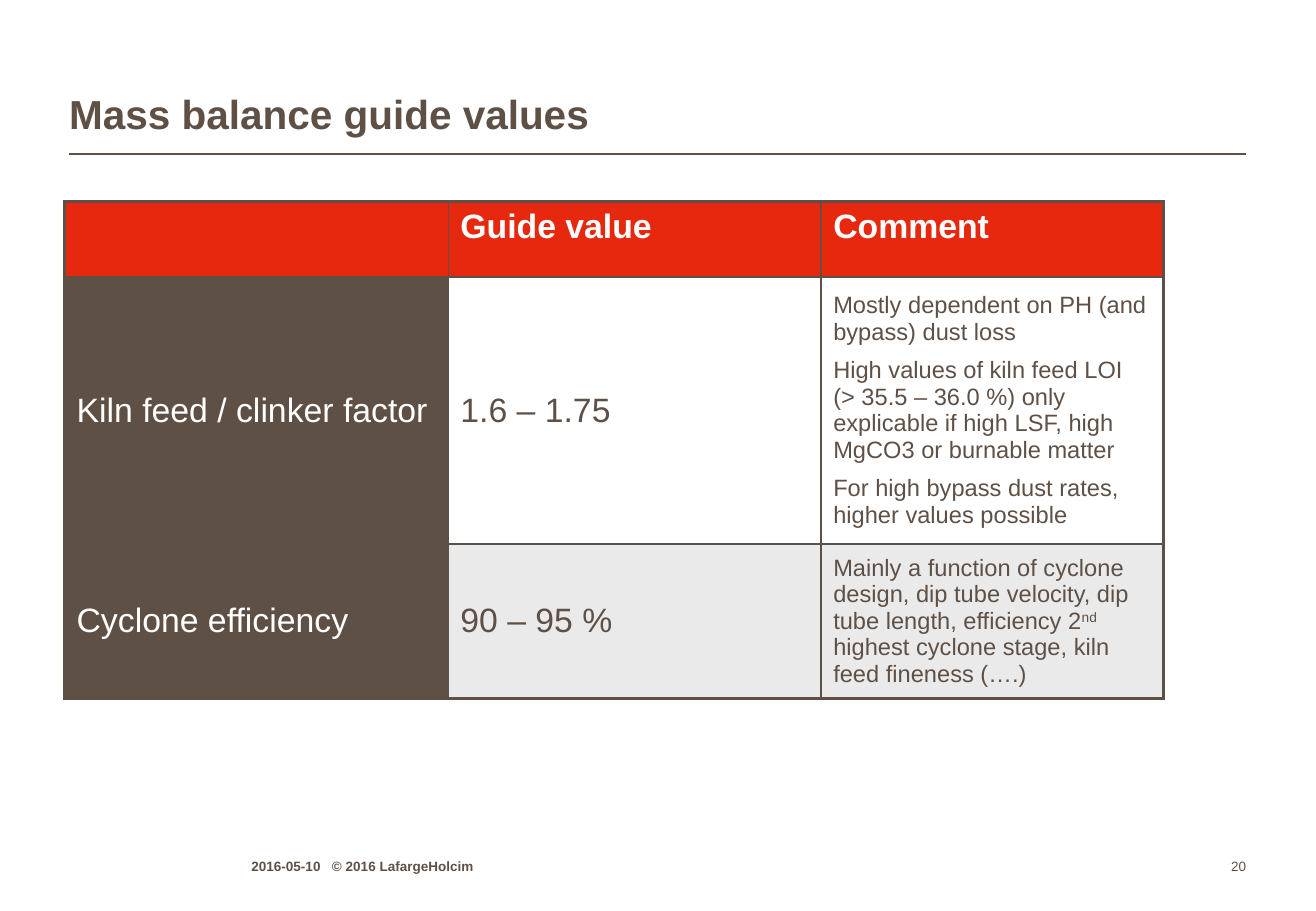
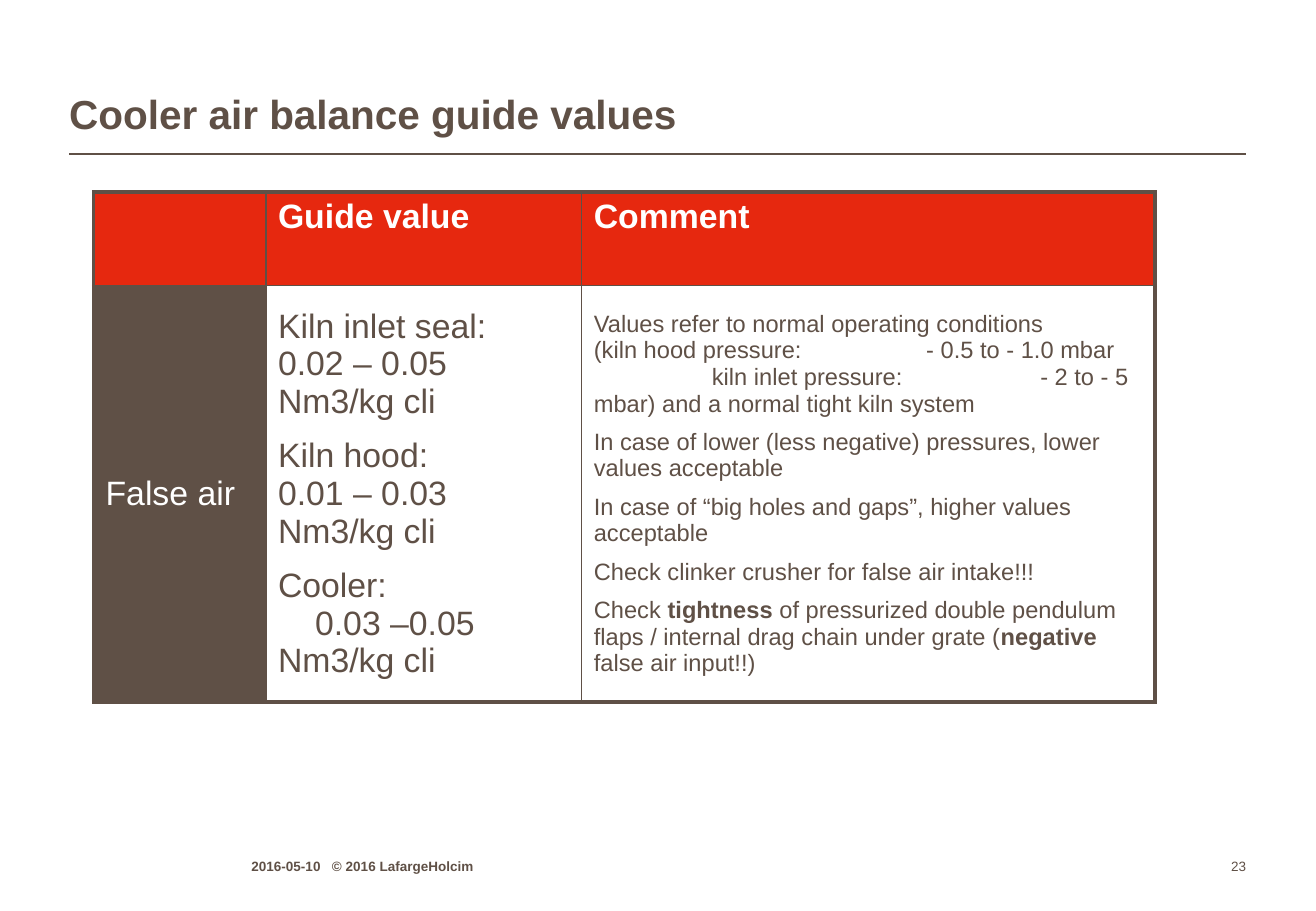
import dataclasses
import typing

import lxml.etree
import pptx
import pptx.dml.color
import pptx.enum.shapes
import pptx.enum.text
import pptx.oxml
import pptx.oxml.ns
import pptx.util

Pt = pptx.util.Pt
qn = pptx.oxml.ns.qn
Align = pptx.enum.text.PP_ALIGN
Anchor = pptx.enum.text.MSO_ANCHOR

FONT = "Arial"
BROWN = "5F5046"
RED = "E6280F"
GREY = "EAEAEA"
WHITE = "FFFFFF"
LEFT, RIGHT = 41, 738.7
OUTER, INNER = 2.25, 1
LARGE, SMALL = 20, 14
PARAGRAPH_GAP = 0.5


@dataclasses.dataclass(frozen=True)
class Span:
    text: str
    bold: bool = False
    raised: bool = False


@dataclasses.dataclass(frozen=True)
class Para:
    spans: tuple[Span, ...]
    tabs: tuple[float, ...] = ()


@dataclasses.dataclass(frozen=True)
class GuideRow:
    label: str
    values: tuple[Para, ...]
    comments: tuple[Para, ...]
    fill: typing.Optional[str] = None


@dataclasses.dataclass(frozen=True)
class GuidePage:
    title: str
    number: int
    left: float
    top: float
    widths: tuple[float, ...]
    heights: tuple[float, ...]
    rows: tuple[GuideRow, ...]


def plain(text: str, *tabs: float) -> Para:
    return Para((Span(text),), tabs)


PAGES = (
    GuidePage(
        "Mass balance guide values", 20, 38.2, 119.5,
        (227.5, 221, 203), (44.6, 158.4, 91.4),
        (
            GuideRow(
                "Kiln feed / clinker factor",
                (plain("1.6 – 1.75"),),
                (
                    plain("Mostly dependent on PH (and bypass) dust loss"),
                    plain("High values of kiln feed LOI\v(> 35.5 – 36.0 %) only explicable "
                          "if high LSF, high MgCO3 or burnable matter"),
                    plain("For high bypass dust rates, higher values possible"),
                ),
            ),
            GuideRow(
                "Cyclone efficiency",
                (plain("90 – 95 %"),),
                (
                    Para((
                        Span("Mainly a function of cyclone design, dip tube velocity, "
                             "dip tube length, efficiency 2"),
                        Span("nd", raised=True),
                        Span(" highest cyclone stage, kiln feed fineness (….)"),
                    )),
                ),
                GREY,
            ),
        ),
    ),
    GuidePage(
        "Cooler air balance guide values", 23, 55.4, 113.8,
        (102.2, 187.2, 339.8), (55.4, 247),
        (
            GuideRow(
                "False air",
                (
                    plain("Kiln inlet seal:\v0.02 – 0.05\vNm3/kg cli"),
                    plain("Kiln hood:\v0.01 – 0.03\vNm3/kg cli"),
                    plain("Cooler:\v\t0.03 –0.05\vNm3/kg cli", 22),
                ),
                (
                    plain("Values refer to normal operating conditions\v"
                          "(kiln hood pressure:\t- 0.5 to - 1.0 mbar\v"
                          "\tkiln inlet pressure:\t\t- 2 to - 5 mbar) "
                          "and a normal tight kiln system", 70, 197, 264.6),
                    plain("In case of lower (less negative) pressures, lower values acceptable"),
                    plain("In case of “big holes and gaps”, higher values acceptable"),
                    plain("Check clinker crusher for false air intake!!!"),
                    Para((
                        Span("Check "),
                        Span("tightness", bold=True),
                        Span(" of pressurized double pendulum flaps / internal drag chain "
                             "under grate ("),
                        Span("negative", bold=True),
                        Span(" false air input!!)"),
                    )),
                ),
            ),
        ),
    ),
)


def rgb(colour: str) -> pptx.dml.color.RGBColor:
    return pptx.dml.color.RGBColor.from_string(colour)


def style_runs(paragraph, size: float, colour: str, bold: bool = False) -> None:
    for run in paragraph.runs:
        run.font.name = FONT
        run.font.size = Pt(size)
        run.font.bold = bold
        run.font.color.rgb = rgb(colour)
    for line_break in paragraph._p.findall(qn("a:br")):
        lxml.etree.SubElement(line_break, qn("a:rPr"), sz=str(int(size * 100)))


def set_tabs(paragraph, tabs: tuple[float, ...]) -> None:
    if tabs:
        tab_list = lxml.etree.SubElement(paragraph._p.get_or_add_pPr(), qn("a:tabLst"))
        for position in tabs:
            lxml.etree.SubElement(tab_list, qn("a:tab"), pos=str(Pt(position)), algn="l")


def add_label(page, left: float, top: float, width: float, height: float,
              text: str, size: float, bold: bool = False,
              align: Align = Align.LEFT, tabs: tuple[float, ...] = ()):
    box = page.shapes.add_textbox(Pt(left), Pt(top), Pt(width), Pt(height))
    frame = box.text_frame
    frame.word_wrap = True
    frame.vertical_anchor = Anchor.BOTTOM
    frame.margin_left = frame.margin_top = frame.margin_right = frame.margin_bottom = 0
    frame.text = text
    paragraph = frame.paragraphs[0]
    paragraph.alignment = align
    set_tabs(paragraph, tabs)
    style_runs(paragraph, size, BROWN, bold)
    return paragraph


def add_frame(page, title: str, number: int) -> None:
    rule = page.shapes.add_connector(
        pptx.enum.shapes.MSO_CONNECTOR.STRAIGHT, Pt(LEFT), Pt(91.4), Pt(RIGHT), Pt(91.4))
    rule.line.color.rgb = rgb(BROWN)
    rule.line.width = Pt(1)
    lxml.etree.SubElement(rule._element.spPr, qn("a:effectLst"))
    heading = add_label(page, LEFT, 15.1, RIGHT - LEFT, 67, title, 24, bold=True)
    heading.line_spacing = 0.95
    add_label(page, 149, 505.4, 249, 13, "2016-05-10\t© 2016 LafargeHolcim", 8,
              bold=True, tabs=(47.8,))
    add_label(page, RIGHT - 33.8, 505.4, 33.8, 13, str(number), 8, align=Align.RIGHT)


def set_borders(cell, widths: dict[str, float]) -> None:
    properties = cell._tc.get_or_add_tcPr()
    for index, (side, width) in enumerate(widths.items()):
        line = lxml.etree.Element(qn(f"a:ln{side}"), w=str(Pt(width)))
        fill = lxml.etree.SubElement(line, qn("a:solidFill"))
        lxml.etree.SubElement(fill, qn("a:srgbClr"), val=BROWN)
        properties.insert(index, line)


def fill_cell(cell, paras: tuple[Para, ...], size: float, colour: str,
              fill: typing.Optional[str], bold: bool = False,
              anchor: Anchor = Anchor.MIDDLE) -> None:
    cell.vertical_anchor = anchor
    if fill:
        cell.fill.solid()
        cell.fill.fore_color.rgb = rgb(fill)
    else:
        cell.fill.background()
    frame = cell.text_frame
    for index, para in enumerate(paras):
        paragraph = frame.add_paragraph() if index else frame.paragraphs[0]
        paragraph.space_before = Pt(PARAGRAPH_GAP * size if index else 0)
        set_tabs(paragraph, para.tabs)
        if len(para.spans) == 1:
            paragraph.text = para.spans[0].text
            style_runs(paragraph, size, colour, bold)
            continue
        for span in para.spans:
            paragraph.add_run().text = span.text
        style_runs(paragraph, size, colour, bold)
        for run, span in zip(paragraph.runs, para.spans):
            run.font.bold = span.bold
            if span.raised:
                run._r.get_or_add_rPr().set("baseline", "30000")


def add_guide_table(page, guide: GuidePage) -> None:
    row_count, column_count = len(guide.heights), len(guide.widths)
    table = page.shapes.add_table(
        row_count, column_count, Pt(guide.left), Pt(guide.top),
        Pt(sum(guide.widths)), Pt(sum(guide.heights))).table
    table.first_row = table.horz_banding = False
    for column, width in zip(table.columns, guide.widths):
        column.width = Pt(width)
    for row, height in zip(table.rows, guide.heights):
        row.height = Pt(height)

    for index, heading in enumerate(("", "Guide value", "Comment")):
        paras = (plain(heading),) if heading else ()
        fill_cell(table.cell(0, index), paras, LARGE, WHITE, RED, True, Anchor.TOP)
    for index, row in enumerate(guide.rows, start=1):
        fill_cell(table.cell(index, 0), (plain(row.label),), LARGE, WHITE, BROWN)
        fill_cell(table.cell(index, 1), row.values, LARGE, BROWN, row.fill)
        fill_cell(table.cell(index, 2), row.comments, SMALL, BROWN, row.fill)

    for row in range(row_count):
        for column in range(column_count):
            set_borders(table.cell(row, column), {
                "L": INNER if column else OUTER,
                "R": OUTER if column == column_count - 1 else INNER,
                "T": INNER if row else OUTER,
                "B": OUTER if row == row_count - 1 else INNER,
            })


def main() -> None:
    deck = pptx.Presentation()
    deck.slide_width, deck.slide_height = Pt(780), Pt(540)
    for guide in PAGES:
        page = deck.slides.add_slide(deck.slide_layouts[6])
        add_frame(page, guide.title, guide.number)
        add_guide_table(page, guide)
    deck.save("out.pptx")


if __name__ == "__main__":
    main()
